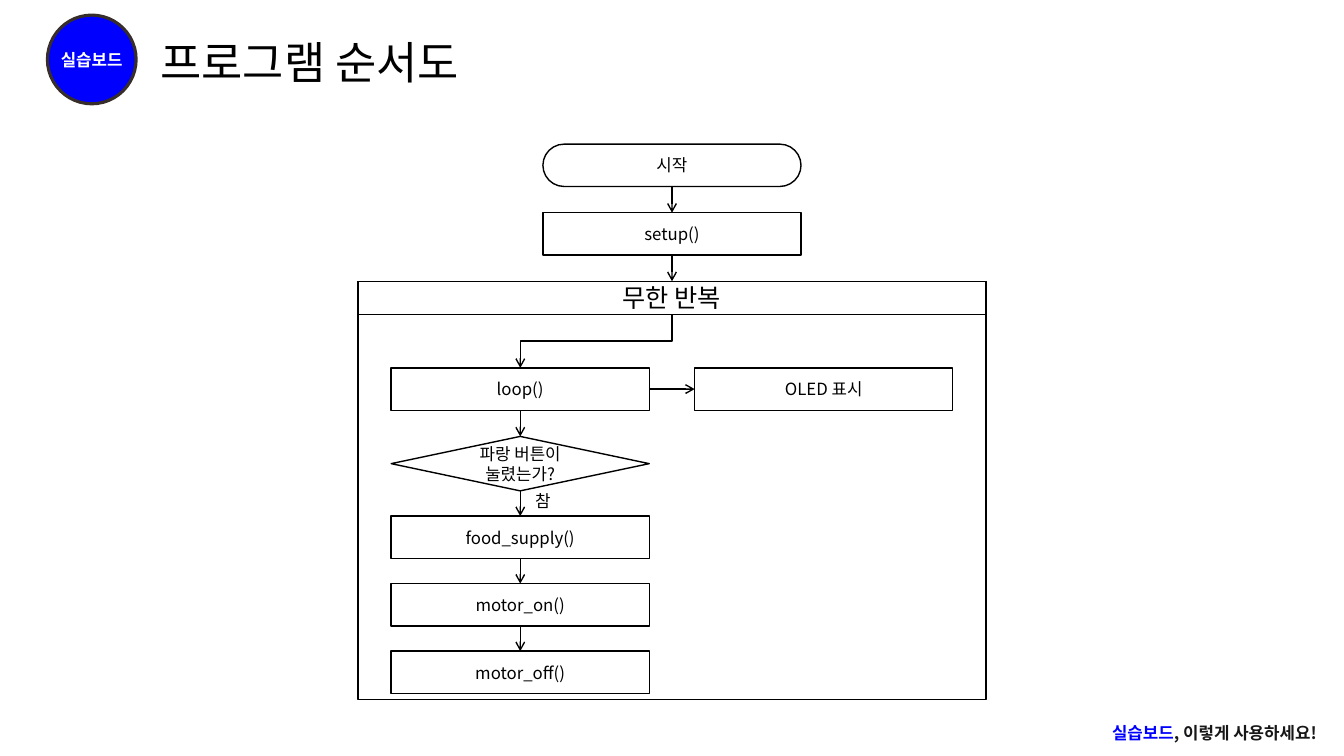
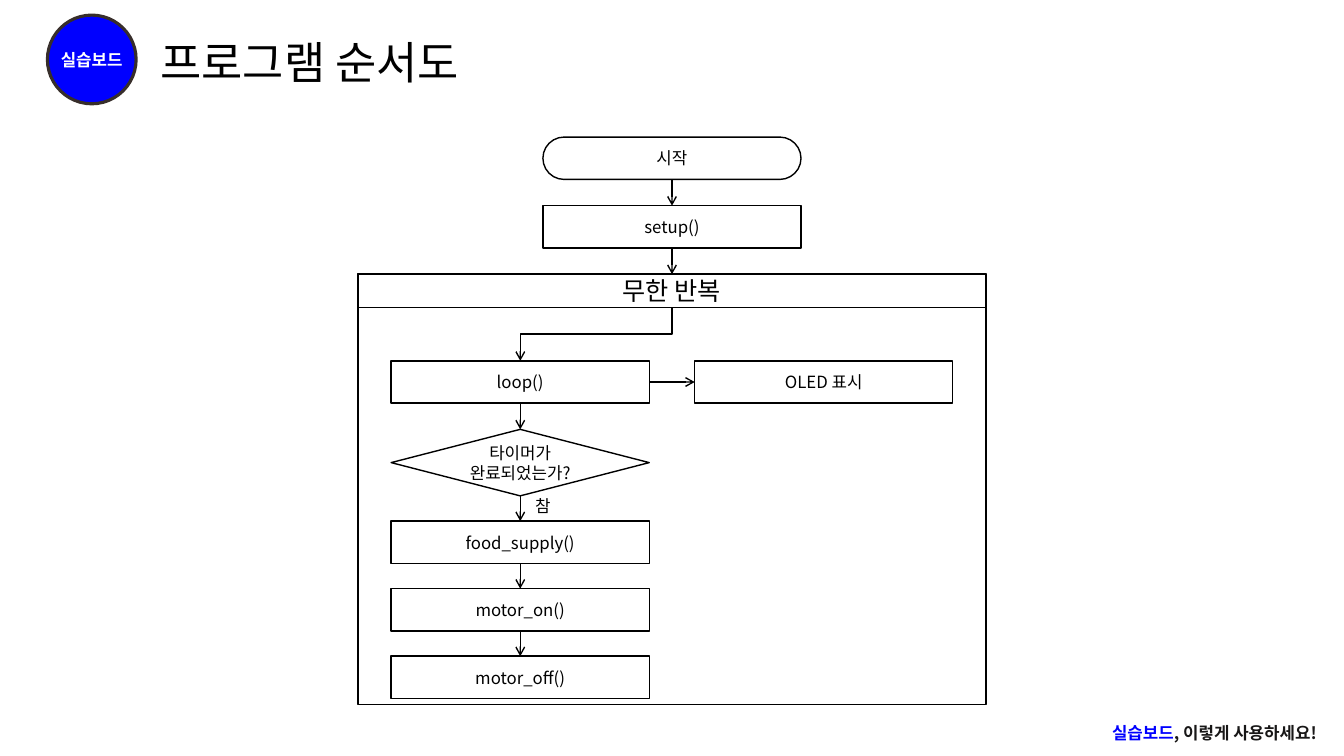
import pptx
import pptx.dml.color
import pptx.enum.shapes
import pptx.enum.text
import pptx.oxml.ns
import pptx.util
from lxml import etree

Inches = pptx.util.Inches
Pt = pptx.util.Pt
SHAPE = pptx.enum.shapes.MSO_SHAPE
CONNECTOR = pptx.enum.shapes.MSO_CONNECTOR
ALIGN = pptx.enum.text.PP_ALIGN
ANCHOR = pptx.enum.text.MSO_ANCHOR
AUTO_SIZE = pptx.enum.text.MSO_AUTO_SIZE
qn = pptx.oxml.ns.qn

COLORS = {
    "ink": "000000",
    "paper": "FFFFFF",
    "brand": "0000FF",
    "rim": "372E2B",
    "footer": "181717",
}
FONT = "Noto Sans CJK KR"
NODE_TEXT = {"size": Pt(12), "bold": False}
STRONG_TEXT = {"size": Pt(12), "bold": True}
HEADER_TEXT = {"size": Pt(18), "bold": False}
TITLE_TEXT = {"size": Pt(32), "bold": False}
TIGHT = {"margin_left": 0, "margin_right": 0, "margin_top": 0, "margin_bottom": 0}

NODE_WIDTH, NODE_HEIGHT = 2.56, 0.42
HEADER_HEIGHT = 0.33
SIDE_PAD, BOTTOM_PAD = 0.33, 0.06
UPPER_PITCH = 0.68
LOWER_GAP = 0.25
ELBOW_DROP = 0.53

FLOWCHARTS = [
    {"left": 3.55, "top": 1.43, "width": 6.23, "decision_height": 0.54,
     "question": ["파랑 버튼이 눌렸는가?"]},
    {"left": 3.55, "top": 1.36, "width": 6.23, "decision_height": 0.66,
     "question": ["타이머가", "완료되었는가?"]},
]


def color(name):
    return pptx.dml.color.RGBColor.from_string(COLORS[name])


def set_all(target, values):
    for name, value in values.items():
        setattr(target, name, value)


def add_span(para, text, style, color_name):
    span = para.add_run()
    span.text = text
    set_all(span.font, {"name": FONT, **style})
    span.font.color.rgb = color(color_name)
    east_asian = etree.SubElement(span.font._element, qn("a:ea"))
    east_asian.set("typeface", FONT)


def write(shape, lines, style=NODE_TEXT, align=ALIGN.CENTER, frame=None):
    text_frame = shape.text_frame
    set_all(text_frame, {"word_wrap": True, "auto_size": AUTO_SIZE.NONE,
                         "vertical_anchor": ANCHOR.MIDDLE, **(frame or {})})
    for index, line in enumerate(lines):
        para = text_frame.add_paragraph() if index else text_frame.paragraphs[0]
        para.alignment = align
        for text, color_name in line:
            add_span(para, text, style, color_name)


def add_box(page, kind, box, fill="paper", line="ink", line_width=1):
    shape = page.shapes.add_shape(kind, *map(Inches, box))
    shape.shadow.inherit = False
    shape.fill.solid()
    shape.fill.fore_color.rgb = color(fill)
    shape.line.color.rgb = color(line)
    shape.line.width = Pt(line_width)
    return shape


def add_node(page, lines, left, top, width=NODE_WIDTH, height=NODE_HEIGHT,
             kind=SHAPE.RECTANGLE, style=NODE_TEXT):
    node = add_box(page, kind, (left, top, width, height))
    write(node, [[(line, "ink")] for line in lines], style, frame=TIGHT)
    return node


def add_arrow(page, kind, start, end):
    arrow = page.shapes.add_connector(kind, *map(Inches, start + end))
    arrow.line.color.rgb = color("ink")
    arrow.line.width = Pt(1)
    etree.SubElement(arrow.line._get_or_add_ln(), qn("a:tailEnd")).set("type", "arrow")
    etree.SubElement(arrow._element.spPr, qn("a:effectLst"))
    return arrow


def join(page, source, target, source_side=2, target_side=0):
    arrow = add_arrow(page, CONNECTOR.STRAIGHT, (0, 0), (1, 1))
    arrow.begin_connect(source, source_side)
    arrow.end_connect(target, target_side)


def add_elbow(page, start_x, start_y, end_x, drop):
    span_width = start_x - end_x
    middle_x, middle_y = (start_x + end_x) / 2, start_y + drop / 2
    start = (middle_x - drop / 2, middle_y - span_width / 2)
    end = (middle_x + drop / 2, middle_y + span_width / 2)
    elbow = add_arrow(page, CONNECTOR.ELBOW, start, end)
    elbow._element.spPr.find(qn("a:xfrm")).set("rot", "5400000")


def add_label(page, lines, box, style=NODE_TEXT, align=ALIGN.CENTER):
    label = page.shapes.add_textbox(*map(Inches, box))
    write(label, lines, style, align)


def add_page_frame(page, title_text):
    badge = add_box(page, SHAPE.OVAL, (0.47, 0.15, 0.88, 0.88), "brand", "rim", 2.25)
    write(badge, [[("실습보드", "paper")]], STRONG_TEXT, frame={**TIGHT, "word_wrap": False})
    add_label(page, [[("실습보드", "brand"), (", 이렇게 사용하세요!", "footer")]],
              (6.49, 7.12, 6.67, 0.3), STRONG_TEXT, ALIGN.RIGHT)
    title = page.shapes.title
    set_all(title, {"left": Inches(1.49), "top": Inches(0.25),
                    "width": Inches(11.5), "height": Inches(0.78)})
    write(title, [[(title_text, "ink")]], TITLE_TEXT, ALIGN.LEFT)
    title.text_frame.paragraphs[0].line_spacing = 0.9


def add_flowchart(page, left, top, width, decision_height, question):
    center = left + width / 2
    main_left = center - NODE_WIDTH / 2
    branch_left = left + SIDE_PAD
    display_left = left + width - SIDE_PAD - NODE_WIDTH
    frame_top = top + 2 * UPPER_PITCH
    loop_top = frame_top + HEADER_HEIGHT + ELBOW_DROP
    decision_top = loop_top + UPPER_PITCH
    decision_bottom = decision_top + decision_height
    lower_pitch = NODE_HEIGHT + LOWER_GAP
    steps = ["food_supply()", "motor_on()", "motor_off()"]
    frame_bottom = decision_bottom + len(steps) * lower_pitch + BOTTOM_PAD

    start = add_node(page, ["시작"], main_left, top, kind=SHAPE.ROUNDED_RECTANGLE)
    start.adjustments[0] = 0.5
    setup = add_node(page, ["setup()"], main_left, top + UPPER_PITCH)
    add_box(page, SHAPE.RECTANGLE, (left, frame_top, width, frame_bottom - frame_top))
    header = add_node(page, ["무한 반복"], left, frame_top, width, HEADER_HEIGHT,
                      style=HEADER_TEXT)
    loop = add_node(page, ["loop()"], branch_left, loop_top)
    display = add_node(page, ["OLED 표시"], display_left, loop_top)
    decision = add_node(page, question, branch_left, decision_top, height=decision_height,
                        kind=SHAPE.FLOWCHART_DECISION)
    chain = [loop, decision]
    for index, step in enumerate(steps):
        step_top = decision_bottom + LOWER_GAP + index * lower_pitch
        chain.append(add_node(page, [step], branch_left, step_top))

    for nodes in ([start, setup, header], chain):
        for source, target in zip(nodes, nodes[1:]):
            join(page, source, target)
    join(page, loop, display, 3, 1)
    branch_center = branch_left + NODE_WIDTH / 2
    add_elbow(page, center, frame_top + HEADER_HEIGHT, branch_center, ELBOW_DROP)
    add_label(page, [[("참", "ink")]],
              (branch_center + 0.05, decision_bottom - 0.05, 0.35, 0.3))


def main():
    deck = pptx.Presentation()
    deck.slide_width = Inches(13.33)
    deck.slide_height = Inches(7.5)
    for flowchart in FLOWCHARTS:
        page = deck.slides.add_slide(deck.slide_layouts[5])
        add_page_frame(page, "프로그램 순서도")
        add_flowchart(page, **flowchart)
    deck.save("out.pptx")


if __name__ == "__main__":
    main()
